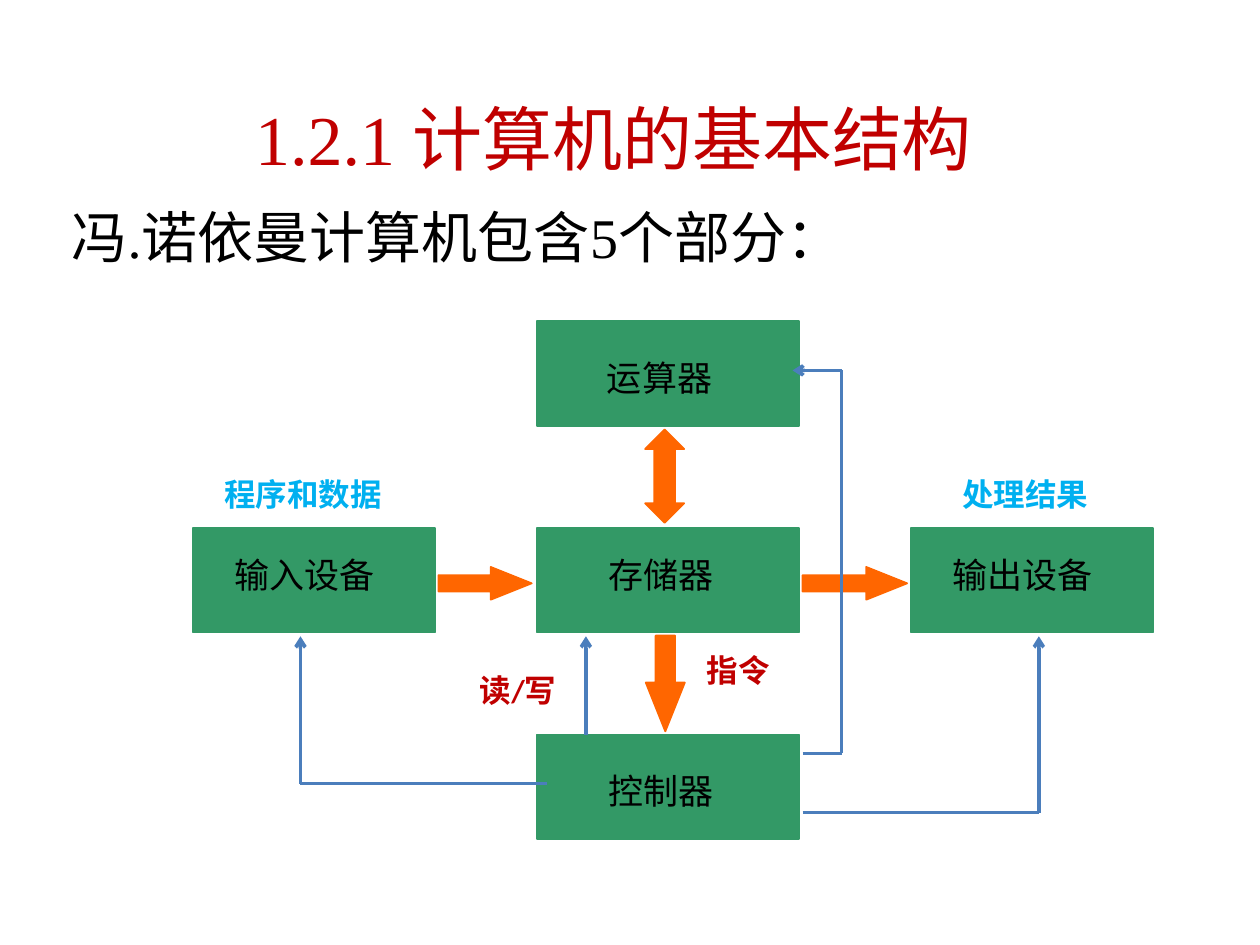
from lxml import etree
from pptx import Presentation
from pptx import util as u
from pptx.dml.color import RGBColor
from pptx.enum import shapes, text
from pptx.oxml.ns import qn

COLS, ROWS = 100, 75
SANS, SERIF, LATIN = "Noto Sans CJK SC", "Times New Roman", "Calibri"
GREEN, ORANGE, BLUE = "339966", "FF6600", "4B7EBC"
RED, SKY, BLACK = "C00000", "00B0F0", "000000"
KIND = shapes.MSO_SHAPE


def color(code):
    return RGBColor.from_string(code)


class Deck:
    """Holds the style and the current slide; lengths are grid columns and rows."""

    def __init__(self):
        self.prs = Presentation()
        self.prs.slide_width, self.prs.slide_height = u.Inches(10), u.Inches(7.5)
        self.slide = self.prs.slides.add_slide(self.prs.slide_layouts[6])

    def grid(self, col, row):
        return (round(self.prs.slide_width * col / COLS),
                round(self.prs.slide_height * row / ROWS))

    def shape(self, kind, at, fill, adj=(), turn=0):
        item = self.slide.shapes.add_shape(kind, *self.grid(*at[:2]), *self.grid(*at[2:]))
        for i, val in enumerate(adj):
            item.adjustments[i] = val
        item.rotation = turn
        item.shadow.inherit = False
        item.fill.solid()
        item.fill.fore_color.rgb = color(fill)
        item.line.color.rgb = color(fill)
        item.line.width = u.Pt(1)

    def label(self, words, at, size, font, ink, bold=False, mid=False, anchor="TOP"):
        box = self.slide.shapes.add_textbox(*self.grid(*at[:2]), *self.grid(*at[2:]))
        frame = box.text_frame
        frame.word_wrap = True
        frame.vertical_anchor = text.MSO_ANCHOR[anchor]
        frame.text = words
        para = frame.paragraphs[0]
        para.alignment = text.PP_ALIGN.CENTER if mid else text.PP_ALIGN.LEFT
        face = para.runs[0].font
        face.name, face.size, face.bold = font, u.Pt(size), bold
        face.color.rgb = color(ink)
        # Chinese glyphs take the sans face
        etree.SubElement(para.runs[0]._r.rPr, qn("a:ea"), typeface=SANS)

    def route(self, *points):
        """Draw straight segments through the points."""
        for start, end in zip(points, points[1:]):
            line = self.slide.shapes.add_connector(
                shapes.MSO_CONNECTOR.STRAIGHT, *self.grid(*start), *self.grid(*end))
            line.line.color.rgb = color(BLUE)
            line.line.width = u.Pt(2)
            if end == points[-1]:
                etree.SubElement(line.line._get_or_add_ln(), qn("a:tailEnd"), type="arrow")
            etree.SubElement(line._element.spPr, qn("a:effectLst"))


def main():
    deck = Deck()

    # Heading and lead sentence
    deck.label("1.2.1 计算机的基本结构", (6.2, 4.7, 85, 12.5), 40, SERIF, RED,
               mid=True, anchor="MIDDLE")
    deck.label("冯.诺依曼计算机包含5个部分：", (4.7, 15.6, 90, 8), 32, SERIF, BLACK)

    # Five units: three stacked in the middle, one on each side
    top, step, tall = 25.5, 16.4, 8.3
    core, wide, side = 42.6, 20.8, 19.2
    store, ctrl = top + step, top + 2 * step
    units = [
        ("运算器", core, top, wide, (45.7, 27.8, 13.3, 5), True),
        ("存储器", core, store, wide, (47.3, 43.4, 13.3, 5), False),
        ("控制器", core, ctrl, wide, (47.3, 60.6, 11.7, 4.1), False),
        ("输入设备", 15.3, store, side, (17.6, 43.4, 14.1, 5), False),
        ("输出设备", 72.3, store, side, (74.6, 43.4, 15.8, 5), False),
    ]
    for name, left, row, width, spot, mid in units:
        deck.shape(KIND.RECTANGLE, (left, row, width, tall), GREEN)
        deck.label(name, spot, 20, SANS, BLACK, mid=mid)

    # Data flow: block arrows
    long = (0.5, 1.25)
    deck.shape(KIND.RIGHT_ARROW, (34.8, 45, 7.4, 2.6), ORANGE, long)
    deck.shape(KIND.RIGHT_ARROW, (63.7, 45, 8.3, 2.6), ORANGE, long)
    deck.shape(KIND.UP_DOWN_ARROW, (51.2, 34.1, 3.1, 7.4), ORANGE, (0.5, 0.53))
    deck.shape(KIND.RIGHT_ARROW, (49, 52.7, 7.6, 3.1), ORANGE, long, turn=90)

    # Control flow: thin lines from the controller
    foot = 50.5
    deck.route((46.5, ctrl), (46.5, foot))
    deck.route((63.7, 59.8), (66.8, 59.8), (66.8, 29.4), (62.9, 29.4))
    deck.route((43.4, 62.2), (23.85, 62.2), (23.85, foot))
    deck.route((63.7, 64.5), (82.45, 64.5), (82.45, foot))

    # Captions on the flows
    for words, left, row, width, font, ink in [
        ("读/写", 37.1, 52.8, 9.4, LATIN, RED),
        ("指令", 55.1, 51.2, 9.4, LATIN, RED),
        ("程序和数据", 16.8, 37.2, 16.4, SANS, SKY),
        ("处理结果", 75.4, 37.2, 14.1, SANS, SKY),
    ]:
        deck.label(words, (left, row, width, 4), 18, font, ink, bold=True)

    deck.prs.save("out.pptx")


if __name__ == "__main__":
    main()
